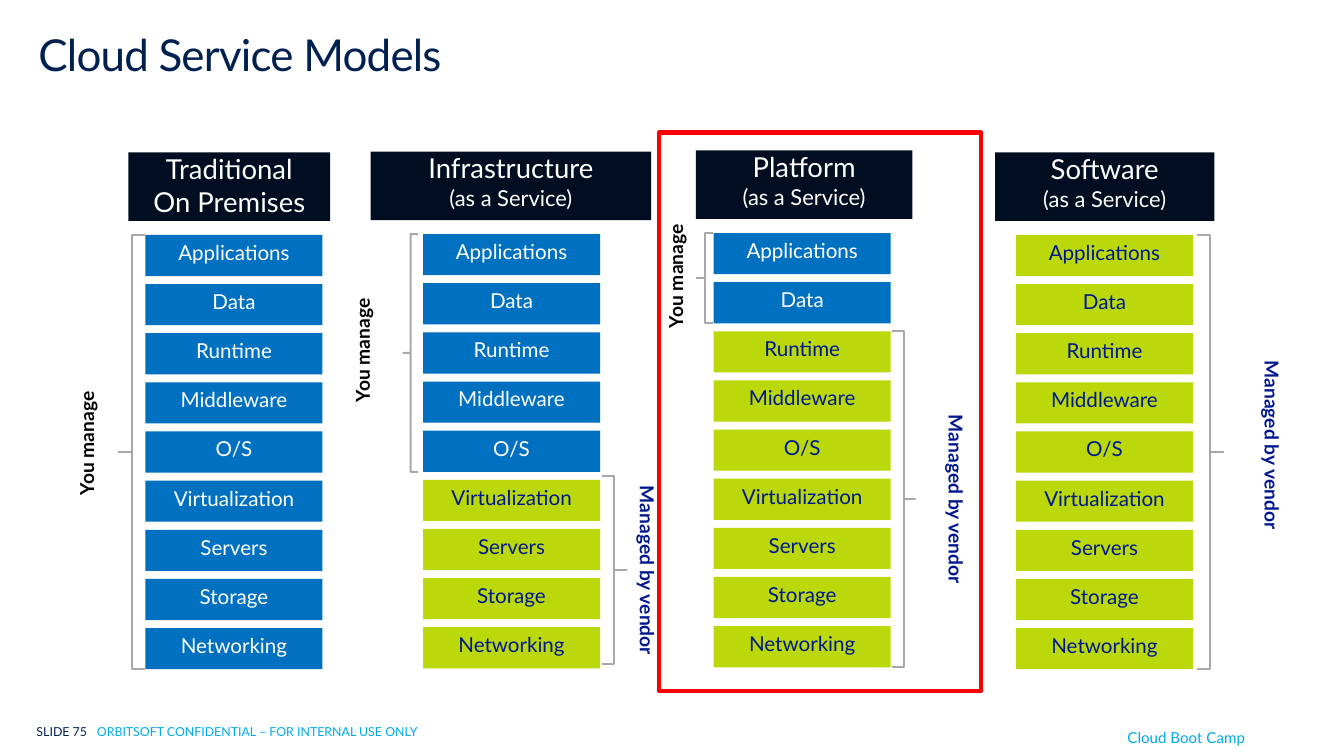
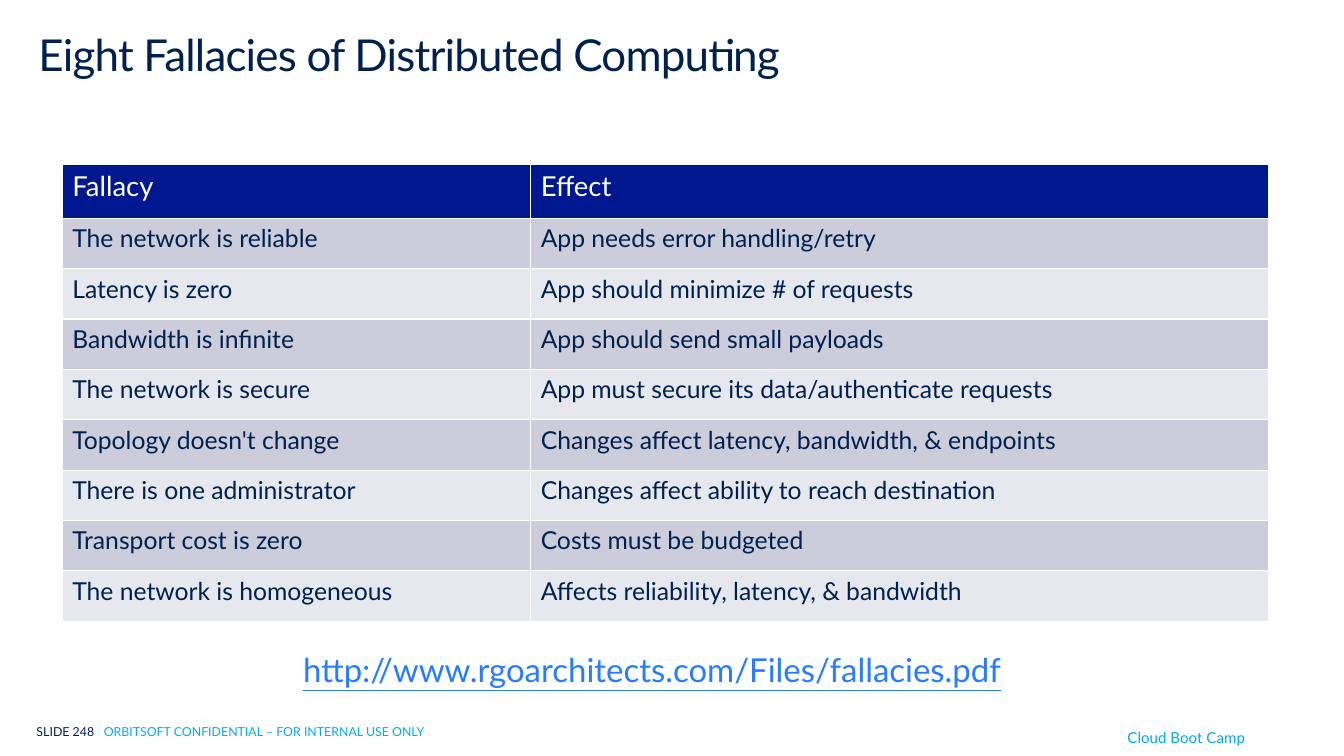
from dataclasses import dataclass

from lxml import etree
from pptx import Presentation
from pptx.dml.color import RGBColor
from pptx.enum import shapes, text
from pptx.oxml import ns
from pptx.util import Pt

FONT = "Lato"
NAVY = RGBColor(0x00, 0x20, 0x50)
SKY = RGBColor(0x00, 0xAB, 0xEC)
INK = RGBColor(0x01, 0x0E, 0x21)
BLUE = RGBColor(0x00, 0x70, 0xC0)
LIME = RGBColor(0xBA, 0xD8, 0x0A)
INDIGO = RGBColor(0x00, 0x18, 0x8F)
GREY = RGBColor(0xA8, 0xA8, 0xA8)
RED = RGBColor(0xFF, 0x00, 0x00)
LINK = RGBColor(0x27, 0x7D, 0xFF)
BAND_DARK = RGBColor(0xCC, 0xCC, 0xDB)
BAND_LIGHT = RGBColor(0xE7, 0xE8, 0xEE)
WHITE = RGBColor(0xFF, 0xFF, 0xFF)
BLACK = RGBColor(0x00, 0x00, 0x00)

SLIDE_W, SLIDE_H = 979.2, 550.8
LAYER_W, LAYER_H, LAYER_PITCH = 129, 30, 35.8
HEADER_H, STACK_DROP = 50, 60.2
LABEL_W = 31.7

LAYERS = ["Applications", "Data", "Runtime", "Middleware", "O/S",
          "Virtualization", "Servers", "Storage", "Networking"]
AS_A_SERVICE = ("(as a Service)", 16)

FALLACIES = [
    ("Fallacy", "Effect"),
    ("The network is reliable", "App needs error handling/retry"),
    ("Latency is zero", "App should minimize # of requests"),
    ("Bandwidth is infinite", "App should send small payloads"),
    ("The network is secure", "App must secure its data/authenticate requests"),
    ("Topology doesn't change", "Changes affect latency, bandwidth, & endpoints"),
    ("There is one administrator", "Changes affect ability to reach destination"),
    ("Transport cost is zero", "Costs must be budgeted"),
    ("The network is homogeneous", "Affects reliability, latency, & bandwidth"),
]


@dataclass
class Bracket:
    """A bracket beside a run of layers, with the place of its label."""
    left: float
    width: float
    label_left: float
    label_middle: float
    lift: float = 0


@dataclass
class Model:
    """One service model: heading, stack position and who manages what."""
    heading: list
    header: tuple
    stack_left: float
    own_layers: int
    own: Bracket = None
    vendor: Bracket = None


MODELS = [
    Model([("Traditional", 20), ("On Premises", 20)], (93.6, 111, 147), 106, 9,
          own=Bracket(86.4, 19.4, 51, 323)),
    Model([("Infrastructure", 20), AS_A_SERVICE], (270, 110.4, 204.5), 308.2, 5,
          own=Bracket(293.8, 10.8, 252, 255.2),
          vendor=Bracket(438.5, 18, 452, 417.2, lift=3)),
    Model([("Platform", 20), AS_A_SERVICE], (507, 109.6, 157.7), 520, 2,
          own=Bracket(507.6, 12.2, 480.2, 201.2),
          vendor=Bracket(650.2, 16.6, 677, 365.4)),
    Model([("Software", 20), AS_A_SERVICE], (725, 111, 159.8), 740.2, 0,
          vendor=Bracket(872, 19.4, 907.2, 325.8)),
]


def style(run, size, color, bold=False):
    """Format one run."""
    run.font.name = FONT
    run.font.size = Pt(size)
    run.font.bold = bold
    run.font.color.rgb = color


def add_shape(slide, kind, left, top, width, height, fill=None, line=None, weight=1.5):
    """Add a flat preset shape."""
    shape = slide.shapes.add_shape(kind, Pt(left), Pt(top), Pt(width), Pt(height))
    shape.shadow.inherit = False
    if fill is None:
        shape.fill.background()
    else:
        shape.fill.solid()
        shape.fill.fore_color.rgb = fill
    if line is None:
        shape.line.fill.background()
    else:
        shape.line.color.rgb = line
        shape.line.width = Pt(weight)
    return shape


def set_frame(frame, side, edge):
    """Anchor a text frame at the top with equal opposite margins."""
    frame.word_wrap = True
    frame.vertical_anchor = text.MSO_ANCHOR.TOP
    frame.margin_left = frame.margin_right = Pt(side)
    frame.margin_top = frame.margin_bottom = Pt(edge)


def add_block(slide, left, top, width, height, lines, fill, color, edge):
    """Add a filled rectangle with centred lines of text."""
    block = add_shape(slide, shapes.MSO_SHAPE.RECTANGLE, left, top, width, height, fill)
    frame = block.text_frame
    set_frame(frame, 0, edge)
    frame.text = "\n".join(words for words, size in lines)
    for paragraph, (words, size) in zip(frame.paragraphs, lines):
        paragraph.alignment = text.PP_ALIGN.CENTER
        style(paragraph.runs[0], size, color)


def add_line_of_text(slide, left, top, width, height, words, size, color, side, edge):
    """Add a one-paragraph text box and return its paragraph."""
    box = slide.shapes.add_textbox(Pt(left), Pt(top), Pt(width), Pt(height))
    set_frame(box.text_frame, side, edge)
    paragraph = box.text_frame.paragraphs[0]
    paragraph.text = words
    style(paragraph.runs[0], size, color)
    return paragraph


def add_frame(slide, title, number):
    """Add the title and the footers that every slide shares."""
    heading = add_line_of_text(slide, 28, 21, 940, 48, title, 32, NAVY, 0, 3.6)
    heading.line_spacing = 0.9
    heading.runs[0].font._element.set("spc", "-60")

    footer = add_line_of_text(slide, 26.6, 524.2, 494, 23.8, f"SLIDE {number}\t",
                              9, NAVY, 0, 11.5)
    tabs = etree.SubElement(footer._p.get_or_add_pPr(), ns.qn("a:tabLst"))
    gap = 34 + 5 * len(str(number))
    etree.SubElement(tabs, ns.qn("a:tab"), pos=str(Pt(gap)), algn="l")
    footer.line_spacing = 0.9
    notice = footer.add_run()
    notice.text = "ORBITSOFT CONFIDENTIAL – FOR INTERNAL USE ONLY"
    style(notice, 9, SKY)

    add_line_of_text(slide, 814.3, 524.2, 113.8, 23.8, "Cloud Boot Camp", 11, SKY, 7.2, 7.2)


def add_bracket(slide, bracket, top, count, vendor):
    """Add a bracket over a number of layers and its vertical label."""
    height = (count - 1) * LAYER_PITCH + LAYER_H
    brace = add_shape(slide, shapes.MSO_SHAPE.LEFT_BRACE, bracket.left, top - bracket.lift,
                      bracket.width, height, line=GREY)
    brace.adjustments[0], brace.adjustments[1] = 0, 0.5
    if vendor:
        brace.element.spPr.find(ns.qn("a:xfrm")).set("flipH", "1")
        words, color, direction, length = "Managed by vendor", INDIGO, "eaVert", 140.4
    else:
        words, color, direction, length = "You manage", BLACK, "vert270", 88.6

    label = slide.shapes.add_textbox(Pt(bracket.label_left), Pt(bracket.label_middle - length / 2),
                                     Pt(LABEL_W), Pt(length))
    frame = label.text_frame
    frame.word_wrap = False
    frame.auto_size = text.MSO_AUTO_SIZE.SHAPE_TO_FIT_TEXT
    label.element.txBody.bodyPr.set("vert", direction)
    frame.text = words
    frame.paragraphs[0].alignment = text.PP_ALIGN.CENTER
    style(frame.paragraphs[0].runs[0], 14, color, bold=True)


def add_model(slide, model):
    """Add one column: heading, stack of layers and brackets."""
    left, top, width = model.header
    add_block(slide, left, top, width, HEADER_H, model.heading, INK, WHITE, 0)
    stack_top = top + STACK_DROP
    for row, layer in enumerate(LAYERS):
        fill, color = (BLUE, WHITE) if row < model.own_layers else (LIME, INDIGO)
        add_block(slide, model.stack_left, stack_top + row * LAYER_PITCH, LAYER_W, LAYER_H,
                  [(layer, 15)], fill, color, 3.6)
    if model.own:
        add_bracket(slide, model.own, stack_top, model.own_layers, vendor=False)
    if model.vendor:
        add_bracket(slide, model.vendor, stack_top + model.own_layers * LAYER_PITCH,
                    len(LAYERS) - model.own_layers, vendor=True)


def add_fallacy_table(slide, left, top, widths, header_height, row_height):
    """Add the table of fallacies and their effects."""
    height = header_height + row_height * (len(FALLACIES) - 1)
    table = slide.shapes.add_table(len(FALLACIES), len(widths), Pt(left), Pt(top),
                                   Pt(sum(widths)), Pt(height)).table
    for column, width in zip(table.columns, widths):
        column.width = Pt(width)
    for index, entries in enumerate(FALLACIES):
        table.rows[index].height = Pt(row_height if index else header_height)
        if index == 0:
            fill, color, size = INDIGO, WHITE, 20
        else:
            fill, color, size = (BAND_DARK if index % 2 else BAND_LIGHT), NAVY, 18
        for cell, words in zip(table.rows[index].cells, entries):
            cell.fill.solid()
            cell.fill.fore_color.rgb = fill
            cell.text_frame.text = words
            style(cell.text_frame.paragraphs[0].runs[0], size, color)


def build_models_slide(slide):
    """Build the comparison of service models."""
    add_frame(slide, "Cloud Service Models", 75)
    for model in MODELS:
        add_model(slide, model)
    add_shape(slide, shapes.MSO_SHAPE.RECTANGLE, 480.2, 96.5, 234.7, 406.8, line=RED, weight=3)


def build_fallacies_slide(slide):
    """Build the table slide with its source address."""
    add_frame(slide, "Eight Fallacies of Distributed Computing", 248)
    add_fallacy_table(slide, 45.5, 119.5, (341.3, 537.3), 39.6, 36.7)
    address = add_line_of_text(slide, 213.8, 465.8, 542, 44,
                               "http://www.rgoarchitects.com/Files/fallacies.pdf",
                               24, LINK, 7.2, 7.2)
    address.runs[0].font.underline = True


def main():
    """Build and save the presentation."""
    deck = Presentation()
    deck.slide_width, deck.slide_height = Pt(SLIDE_W), Pt(SLIDE_H)
    for build in (build_models_slide, build_fallacies_slide):
        build(deck.slides.add_slide(deck.slide_layouts[6]))
    deck.save("out.pptx")


if __name__ == "__main__":
    main()
